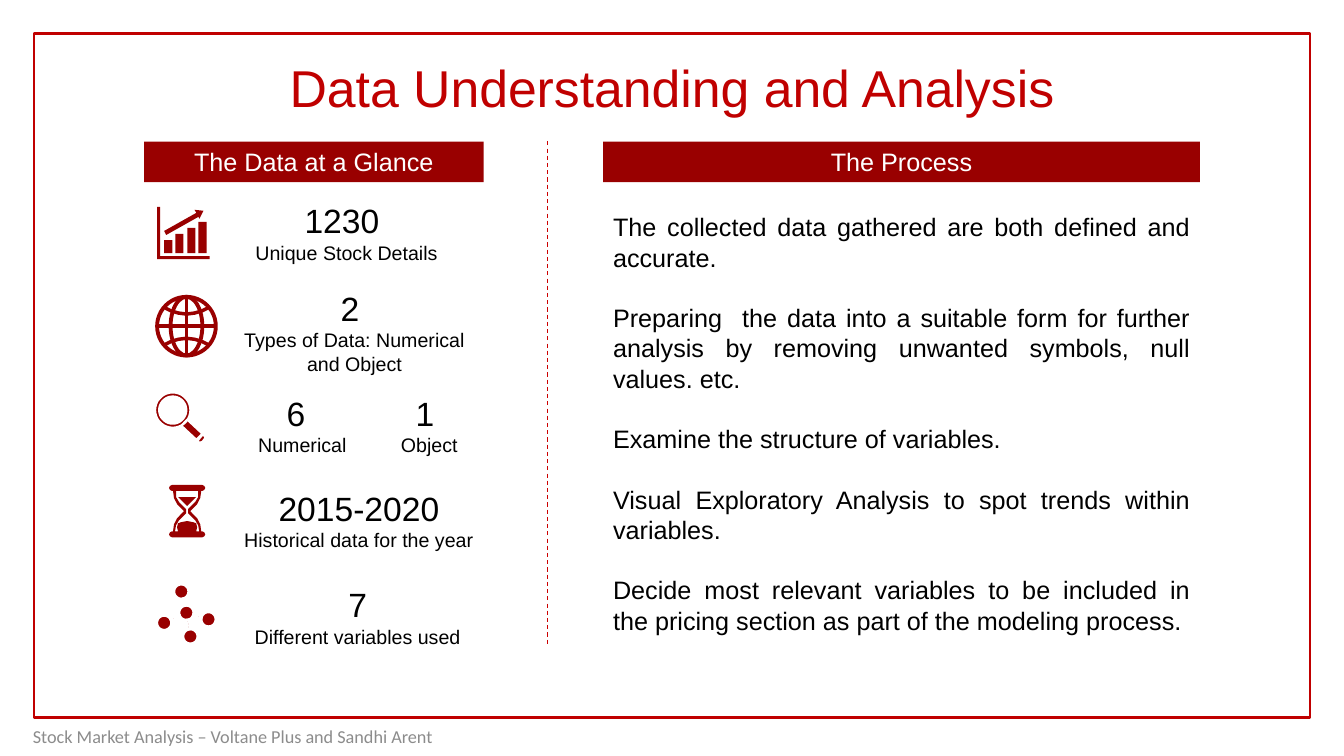
from math import cos, hypot, pi, sin

from lxml.etree import SubElement
from pptx import Presentation
from pptx.dml.color import RGBColor
from pptx.enum.dml import MSO_LINE
from pptx.enum.shapes import MSO_CONNECTOR, MSO_SHAPE
from pptx.enum.text import MSO_ANCHOR, PP_ALIGN
from pptx.oxml.ns import qn
from pptx.util import Cm, Pt

RED = RGBColor(0xC0, 0x00, 0x00)
DARK_RED = RGBColor(0x99, 0x00, 0x00)
DIVIDER_RED = RGBColor(0xCC, 0x00, 0x00)
WHITE = RGBColor(0xFF, 0xFF, 0xFF)
BLACK = RGBColor(0x00, 0x00, 0x00)
GRAY = RGBColor(0x8C, 0x8C, 0x8C)

TITLE = "Data Understanding and Analysis"
FOOTER = "Stock Market Analysis – Voltane Plus and Sandhi Arent"
HEADERS = [("The Data at a Glance", 3.63, 8.56), ("The Process", 15.2, 15.04)]
STATS = [
    ("1230 ", "Unique Stock Details", 5.37, 4.92, 6.73),
    ("2 ", "Types of Data: Numerical and Object", 5.62, 7.13, 6.63),
    ("\t6\t1", "\tNumerical\tObject", 5.56, 9.78, 6.6),
    ("2015-2020", "Historical data for the year", 5.68, 12.17, 6.73),
    ("7", "Different variables used", 5.79, 14.6, 6.45),
]
TAB_STOPS = [(1.65, 4.9), (1.81, 5.01)]
PROCESS = [
    "The collected data gathered are both defined and accurate.",
    "Preparing  the data into a suitable form for further analysis by removing "
    "unwanted symbols, null values. etc.",
    "Examine the structure of variables.",
    "Visual Exploratory Analysis to spot trends within variables.",
    "Decide most relevant variables to be included in the pricing section "
    "as part of the modeling process.",
]

ICON_DETAIL = 10
ICON_UNIT = Cm(0.0254) / ICON_DETAIL
CHART_AXES = [(0, 0), (3, 0), (3, 49), (52, 49), (52, 52), (0, 52)]
CHART_ARROW = [(37, 3), (46, 4), (42, 12), (41, 10), (9, 28), (7, 24), (39, 6)]
CHART_BARS = [(7, 13), (18, 19), (30, 25), (41, 31)]
HOURGLASS_HALVES = [
    [(33, 0), (35, 1), (36, 3), (35, 5), (33, 6), (32, 6), (31, 13), (28, 19),
     (21, 26), (28, 33), (31, 39), (32, 46), (33, 46), (35, 47), (36, 49),
     (35, 51), (33, 52)],
    [(29, 6), (29, 12), (26, 17), (19, 24), (19, 28), (26, 35), (29, 40), (30, 46)],
    [(27, 12), (25, 14), (18, 21)],
    [(19, 36), (24, 37), (27, 38), (28, 42), (27, 46)],
]
HOURGLASS_WIDTH = 36
LENS_CENTER = (17.5, 17.5)
LENS_RADII = [17.5, 13.5]
LENS_HANDLE = [(32, 27), (47, 41), (41, 47), (26, 33)]
LENS_TIP = [(47, 42), (49, 43), (50, 45), (47, 49), (44, 50), (42, 48)]
GLOBE_CENTER = (4.7, 8.22)
GLOBE_RADIUS = 0.74
LATITUDE = [(-21, 18), (-15, 15), (-8, 13), (0, 12), (8, 13), (15, 15), (21, 18)]
NETWORK_HUB = (29, 28)
NETWORK_NODES = [(24, 7), (51, 34.5), (33, 51.5), (7, 38)]
NODE_RADIUS = 7
LINK_HALF_WIDTH = 1.2

presentation = Presentation()
presentation.slide_width = Cm(33.87)
presentation.slide_height = Cm(19.05)
slide = presentation.slides.add_slide(presentation.slide_layouts[6])
shapes = slide.shapes


def paint(shape, fill=None, line=None, width=1.5):
    shape.shadow.inherit = False
    if fill is None:
        shape.fill.background()
    else:
        shape.fill.solid()
        shape.fill.fore_color.rgb = fill
    if line is None:
        shape.line.fill.background()
    else:
        shape.line.color.rgb = line
        shape.line.width = Pt(width)


def format_paragraph(paragraph, size, color, alignment, font="Arial"):
    paragraph.alignment = alignment
    for run in paragraph.runs:
        run.font.size = Pt(size)
        run.font.name = font
        run.font.color.rgb = color


def add_text(lines, left, top, width, height, sizes, color=BLACK,
             alignment=PP_ALIGN.CENTER, anchor=MSO_ANCHOR.TOP, font="Arial"):
    frame = shapes.add_textbox(Cm(left), Cm(top), Cm(width), Cm(height)).text_frame
    frame.word_wrap = True
    frame.vertical_anchor = anchor
    frame.text = "\n".join(lines)
    for paragraph, size in zip(frame.paragraphs, sizes):
        format_paragraph(paragraph, size, color, alignment, font)
    return frame


def add_line(start, end, color, width):
    line = shapes.add_connector(MSO_CONNECTOR.STRAIGHT, Cm(start[0]), Cm(start[1]),
                                Cm(end[0]), Cm(end[1]))
    line.line.color.rgb = color
    line.line.width = Pt(width)
    SubElement(line._element.spPr, qn("a:effectLst"))
    return line


def add_outline(contours, left, top, close=True, **style):
    scaled = [[(x * ICON_DETAIL, y * ICON_DETAIL) for x, y in contour]
              for contour in contours]
    builder = shapes.build_freeform(*scaled[0][0], scale=ICON_UNIT)
    for index, contour in enumerate(scaled):
        if index:
            builder.move_to(*contour[0])
        builder.add_line_segments(contour[1:], close=close)
    paint(builder.convert_to_shape(Cm(left), Cm(top)), **style)


def mirror(half):
    return half + [(HOURGLASS_WIDTH - x, y) for x, y in reversed(half)]


def circle(center, radius, steps=36):
    angles = [2 * pi * step / steps for step in range(steps)]
    return [(center[0] + radius * cos(a), center[1] + radius * sin(a)) for a in angles]


def link(start, end):
    length = hypot(end[0] - start[0], end[1] - start[1])
    dx, dy = (end[0] - start[0]) / length, (end[1] - start[1]) / length
    corners = [(NODE_RADIUS, 1), (length - NODE_RADIUS, 1),
               (length - NODE_RADIUS, -1), (NODE_RADIUS, -1)]
    return [(start[0] + along * dx - side * LINK_HALF_WIDTH * dy,
             start[1] + along * dy + side * LINK_HALF_WIDTH * dx)
            for along, side in corners]


frame = shapes.add_shape(MSO_SHAPE.RECTANGLE, Cm(0.86), Cm(0.84), Cm(32.16), Cm(17.24))
paint(frame, line=RED, width=1.75)
add_text([TITLE], 0.86, 1.37, 32.16, 1.63, [37], RED, anchor=MSO_ANCHOR.MIDDLE)

for label, left, width in HEADERS:
    header = shapes.add_shape(MSO_SHAPE.RECTANGLE, Cm(left), Cm(3.57), Cm(width), Cm(1.02))
    paint(header, fill=DARK_RED)
    header.text_frame.text = label
    format_paragraph(header.text_frame.paragraphs[0], 18, WHITE, PP_ALIGN.CENTER)

for value, caption, left, top, width in STATS:
    tabbed = "\t" in value
    alignment = PP_ALIGN.LEFT if tabbed else PP_ALIGN.CENTER
    text_frame = add_text([value, caption], left, top, width, 1.88, [24, 14],
                          alignment=alignment)
    if tabbed:
        for paragraph, stops in zip(text_frame.paragraphs, TAB_STOPS):
            tab_list = SubElement(paragraph._p.get_or_add_pPr(), qn("a:tabLst"))
            for stop in stops:
                SubElement(tab_list, qn("a:tab"), pos=str(int(Cm(stop))), algn="ctr")

process = add_text(PROCESS, 15.2, 5.21, 15.04, 11.02, [18] * len(PROCESS),
                   alignment=PP_ALIGN.JUSTIFY)
for paragraph in process.paragraphs[1:]:
    paragraph.space_before = Pt(21.6)

bars = [[(x, 46 - h), (x + 8, 46 - h), (x + 8, 46), (x, 46)] for x, h in CHART_BARS]
add_outline([CHART_AXES, CHART_ARROW] + bars, 3.96, 5.21, fill=DARK_RED)

globe_x, globe_y = GLOBE_CENTER
for radius in (GLOBE_RADIUS, 0.4):
    oval = shapes.add_shape(MSO_SHAPE.OVAL, Cm(globe_x - radius), Cm(globe_y - GLOBE_RADIUS),
                            Cm(2 * radius), Cm(2 * GLOBE_RADIUS))
    paint(oval, line=DARK_RED, width=2.75)
for dx, dy in ((GLOBE_RADIUS, 0), (0, GLOBE_RADIUS)):
    add_line((globe_x - dx, globe_y - dy), (globe_x + dx, globe_y + dy), DARK_RED, 2.75)
for side in (-1, 1):
    add_outline([[(x, side * y) for x, y in LATITUDE]], globe_x, globe_y,
                close=False, line=DARK_RED, width=2.5)

lens = [circle(LENS_CENTER, radius) for radius in LENS_RADII]
add_outline(lens + [LENS_HANDLE, LENS_TIP], 3.91, 9.89, fill=DARK_RED, line=WHITE)
add_outline([mirror(half) for half in HOURGLASS_HALVES], 4.26, 12.22, fill=DARK_RED)

nodes = [circle(node, NODE_RADIUS) for node in [NETWORK_HUB] + NETWORK_NODES]
links = [link(NETWORK_HUB, node) for node in NETWORK_NODES]
add_outline(links + nodes, 3.96, 14.73, fill=DARK_RED, line=WHITE)

divider = add_line((13.79, 3.56), (13.79, 16.22), DIVIDER_RED, 0.75)
divider.line.dash_style = MSO_LINE.DASH
add_text([FOOTER], 0.58, 18.03, 14, 1.02, [13], GRAY, PP_ALIGN.LEFT,
         MSO_ANCHOR.MIDDLE, "Calibri")

presentation.save("out.pptx")
